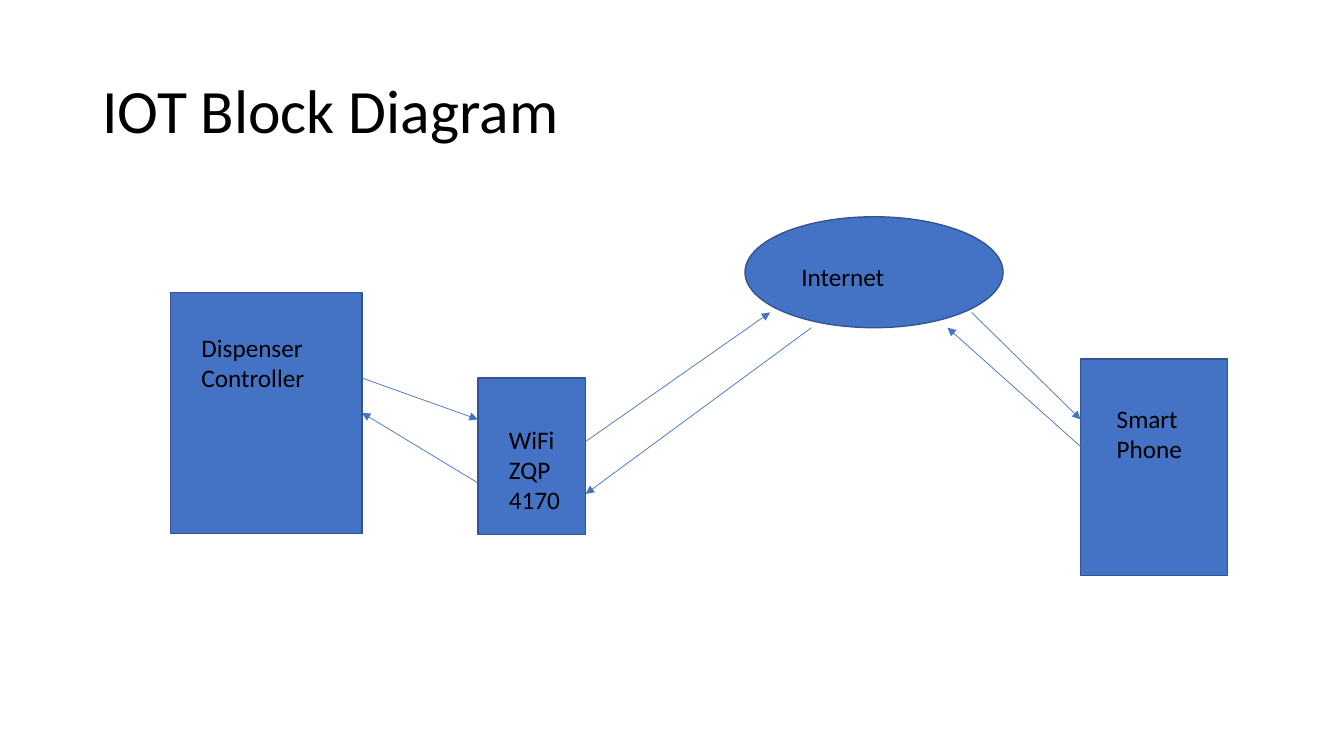
from dataclasses import dataclass
from lxml.etree import SubElement
from pptx import Presentation
from pptx.dml.color import RGBColor
from pptx.enum.shapes import MSO_CONNECTOR as Connector, MSO_SHAPE as Shape
from pptx.enum.text import MSO_ANCHOR as Anchor, MSO_AUTO_SIZE as AutoSize
from pptx.oxml.ns import qn
from pptx.util import Inches, Pt


@dataclass(frozen=True)
class Theme:
    font: str = "Calibri"
    ink: RGBColor = RGBColor(0, 0, 0)
    block: RGBColor = RGBColor(0x44, 0x72, 0xC4)
    outline: RGBColor = RGBColor(0x32, 0x54, 0x91)
    title_size: int = 44
    label_size: int = 18
    outline_width: float = 1
    arrow_width: float = 0.5


THEME = Theme()
WIDTH, HEIGHT = Inches(13.33), Inches(7.5)
RIGHT_SIDE = 3

DISPENSER = (12.68, 38.67, 14.25, 31.87)
WIFI = (35.55, 50, 8.03, 20.67)
INTERNET = (55.43, 28.67, 19.2, 14.67)
PHONE = (80.4, 47.47, 10.95, 28.67)


def across(percent):
    return round(WIDTH * percent / 100)


def down(percent):
    return round(HEIGHT * percent / 100)


def place(area):
    left, top, width, height = area
    return across(left), down(top), across(width), down(height)


def right_of(area):
    return area[0] + area[2]


def add_block(slide, preset, area):
    block = slide.shapes.add_shape(preset, *place(area))
    block.shadow.inherit = False
    block.fill.solid()
    block.fill.fore_color.rgb = THEME.block
    block.line.color.rgb = THEME.outline
    block.line.width = Pt(THEME.outline_width)
    return block


def add_text(slide, area, lines, size):
    frame = slide.shapes.add_textbox(*place(area)).text_frame
    frame.word_wrap = True
    for index, line in enumerate(lines):
        paragraph = frame.add_paragraph() if index else frame.paragraphs[0]
        run = paragraph.add_run()
        run.text = line
        run.font.name = THEME.font
        run.font.size = Pt(size)
        run.font.color.rgb = THEME.ink
    return frame


def add_title(slide, text):
    frame = add_text(slide, (6.88, 5.33, 86.25, 19.33), [text], THEME.title_size)
    frame.vertical_anchor = Anchor.MIDDLE
    frame.paragraphs[0].line_spacing = 0.9


def add_label(slide, area, *lines):
    frame = add_text(slide, area, lines, THEME.label_size)
    frame.auto_size = AutoSize.SHAPE_TO_FIT_TEXT


def add_arrow(slide, start, end):
    arrow = slide.shapes.add_connector(
        Connector.STRAIGHT, across(start[0]), down(start[1]), across(end[0]), down(end[1])
    )
    arrow.line.color.rgb = THEME.block
    arrow.line.width = Pt(THEME.arrow_width)
    properties = arrow.element.spPr
    SubElement(properties.find(qn("a:ln")), qn("a:tailEnd"), type="triangle")
    SubElement(properties, qn("a:effectLst"))
    return arrow


def main():
    deck = Presentation()
    deck.slide_width, deck.slide_height = WIDTH, HEIGHT
    slide = deck.slides.add_slide(deck.slide_layouts[6])

    add_title(slide, "IOT Block Diagram")

    dispenser = add_block(slide, Shape.RECTANGLE, DISPENSER)
    add_block(slide, Shape.RECTANGLE, WIFI)
    add_block(slide, Shape.OVAL, INTERNET)
    add_block(slide, Shape.RECTANGLE, PHONE)

    add_label(slide, (14.25, 43.33, 10.58, 9.47), "Dispenser Controller")
    add_label(slide, (37.13, 55.47, 6.38, 13.47), "WiFi", "ZQP", "4170")
    add_label(slide, (58.88, 33.87, 13.43, 5.33), "Internet")
    add_label(slide, (82.35, 52.67, 7.35, 9.47), "Smart", "Phone")

    dispenser_right, wifi_right = right_of(DISPENSER), right_of(WIFI)
    wifi_left, phone_left = WIFI[0], PHONE[0]
    internet_bottom = INTERNET[1] + INTERNET[3]
    dispenser_middle = DISPENSER[1] + DISPENSER[3] / 2

    add_arrow(slide, (dispenser_right, 50), (wifi_left, 55.47))
    add_arrow(slide, (wifi_right, 58.4), (57.3, 41.33))
    add_arrow(slide, (72.3, 41.33), (phone_left, 55.47))
    add_arrow(slide, (phone_left, 59.07), (70.5, internet_bottom))
    add_arrow(slide, (60.38, internet_bottom), (wifi_right, 65.33))
    reply = add_arrow(slide, (wifi_left, 63.87), (dispenser_right, dispenser_middle))
    reply.end_connect(dispenser, RIGHT_SIDE)

    deck.save("out.pptx")


if __name__ == "__main__":
    main()
